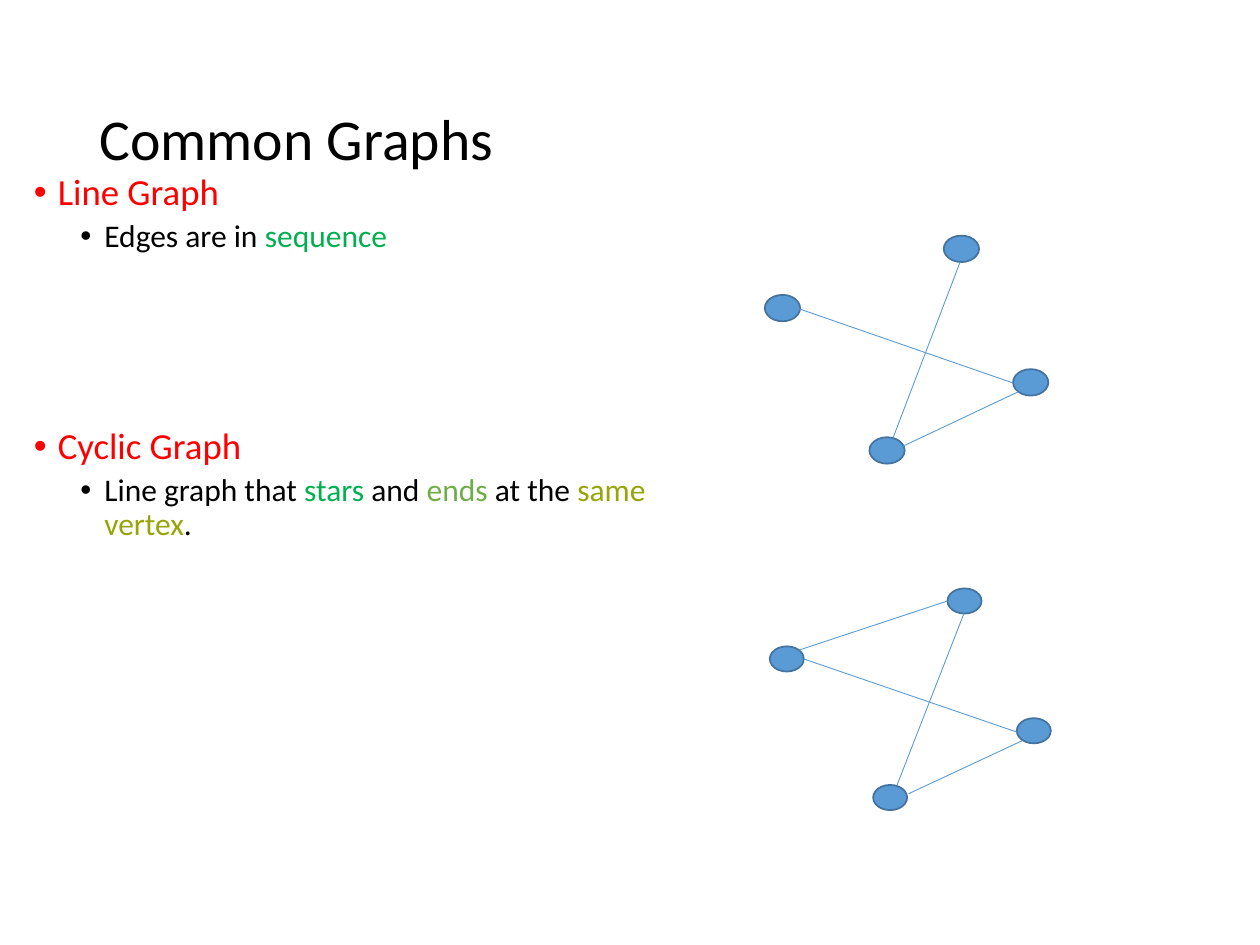
"""Build a slide that shows a line graph and a cyclic graph."""
from lxml import etree
from pptx import Presentation
from pptx.dml.color import RGBColor
from pptx.enum.shapes import MSO_CONNECTOR, MSO_SHAPE
from pptx.enum.text import MSO_ANCHOR, MSO_AUTO_SIZE, PP_ALIGN
from pptx.oxml.ns import qn
from pptx.util import Inches, Pt

STRAIGHT = MSO_CONNECTOR.STRAIGHT
ELLIPSE = MSO_SHAPE.OVAL
MIDDLE = MSO_ANCHOR.MIDDLE
NO_FIT = MSO_AUTO_SIZE.NONE
LEFT = PP_ALIGN.LEFT

BLACK = RGBColor(0x00, 0x00, 0x00)
RED = RGBColor(0xFF, 0x00, 0x00)
GREEN = RGBColor(0x00, 0xB0, 0x50)
LEAF = RGBColor(0x70, 0xAD, 0x47)
OLIVE = RGBColor(0x96, 0xA5, 0x07)
BLUE = RGBColor(0x5B, 0x9B, 0xD5)
DARK_BLUE = RGBColor(0x43, 0x73, 0x9E)

TOPICS = [
    (0, 0, [("Line Graph", RED)]),
    (1, 3.8, [("Edges are in ", BLACK), ("sequence", GREEN)]),
    (0, 99.2, [("Cyclic Graph", RED)]),
    (1, 3.8, [("Line graph that ", BLACK), ("stars", GREEN), (" and ", BLACK),
              ("ends", LEAF), (" at the ", BLACK), ("same vertex", OLIVE),
              (".", BLACK)]),
]

CYCLIC_GRAPH = {
    "size": (0.27, 0.2),
    "vertices": [(6.11, 5.13), (8.07, 5.7), (6.93, 6.23), (7.52, 4.67)],
    "edges": [(7.52, 4.77, 6.34, 5.16), (7.12, 6.23, 7.65, 4.87),
              (6.38, 5.23, 8.07, 5.81), (8.11, 5.88, 7.21, 6.3)],
}
LINE_GRAPH = {
    "size": (0.28, 0.21),
    "vertices": [(6.07, 2.34), (8.04, 2.93), (6.9, 3.47), (7.49, 1.87)],
    "edges": [(7.09, 3.47, 7.62, 2.08), (6.34, 2.45, 8.04, 3.04),
              (8.08, 3.11, 7.17, 3.54)],
}


class GraphPage:
    """Hold the style and the slide being filled."""

    font_name = "Calibri"
    title_size = 33
    level_sizes = (21, 18)
    level_indents = (0.19, 0.56)
    hanging = 0.19
    line_spacing = 0.9

    def __init__(self, deck):
        self.page = deck.slides.add_slide(deck.slide_layouts[5])

    def add_span(self, para, text, size, color):
        span = para.add_run()
        span.text = text
        span.font.name = self.font_name
        span.font.size = Pt(size)
        span.font.color.rgb = color

    def add_title(self, text, left, top, width, height):
        box = self.page.shapes.title
        box.left, box.top = Inches(left), Inches(top)
        box.width, box.height = Inches(width), Inches(height)
        frame = box.text_frame
        frame.auto_size = NO_FIT
        frame.vertical_anchor = MIDDLE
        para = frame.paragraphs[0]
        para.alignment = LEFT
        para.line_spacing = self.line_spacing
        self.add_span(para, text, self.title_size, BLACK)

    def add_bullets(self, topics, left, top, width, height):
        box = self.page.shapes.add_textbox(
            Inches(left), Inches(top), Inches(width), Inches(height))
        frame = box.text_frame
        frame.word_wrap = True
        for index, (level, space, spans) in enumerate(topics):
            para = frame.add_paragraph() if index else frame.paragraphs[0]
            para.level = level
            para.line_spacing = self.line_spacing
            para.space_before = Pt(space)
            settings = para._p.get_or_add_pPr()
            settings.set("marL", str(Inches(self.level_indents[level])))
            settings.set("indent", str(-Inches(self.hanging)))
            etree.SubElement(settings, qn("a:buFont")).set("typeface", "Arial")
            etree.SubElement(settings, qn("a:buChar")).set("char", "•")
            for text, color in spans:
                self.add_span(para, text, self.level_sizes[level], color)

    def add_vertex(self, group, left, top, width, height):
        vertex = group.shapes.add_shape(
            ELLIPSE, Inches(left), Inches(top), Inches(width), Inches(height))
        vertex.shadow.inherit = False
        vertex.fill.solid()
        vertex.fill.fore_color.rgb = BLUE
        vertex.line.color.rgb = DARK_BLUE
        vertex.line.width = Pt(1)

    def add_edge(self, group, *ends):
        edge = group.shapes.add_connector(STRAIGHT, *map(Inches, ends))
        edge.line.color.rgb = BLUE
        edge.line.width = Pt(0.5)
        etree.SubElement(edge._element.spPr, qn("a:effectLst"))

    def add_graph(self, graph):
        group = self.page.shapes.add_group_shape()
        for corner in graph["vertices"]:
            self.add_vertex(group, *corner, *graph["size"])
        for ends in graph["edges"]:
            self.add_edge(group, *ends)


def main():
    deck = Presentation()
    deck.slide_width, deck.slide_height = Inches(10), Inches(7.5)
    page = GraphPage(deck)
    page.add_title("Common Graphs", 0.69, 0.4, 8.62, 1.45)
    page.add_bullets(TOPICS, 0.17, 1.33, 5.25, 5.75)
    page.add_graph(CYCLIC_GRAPH)
    page.add_graph(LINE_GRAPH)
    deck.save("out.pptx")


if __name__ == "__main__":
    main()
